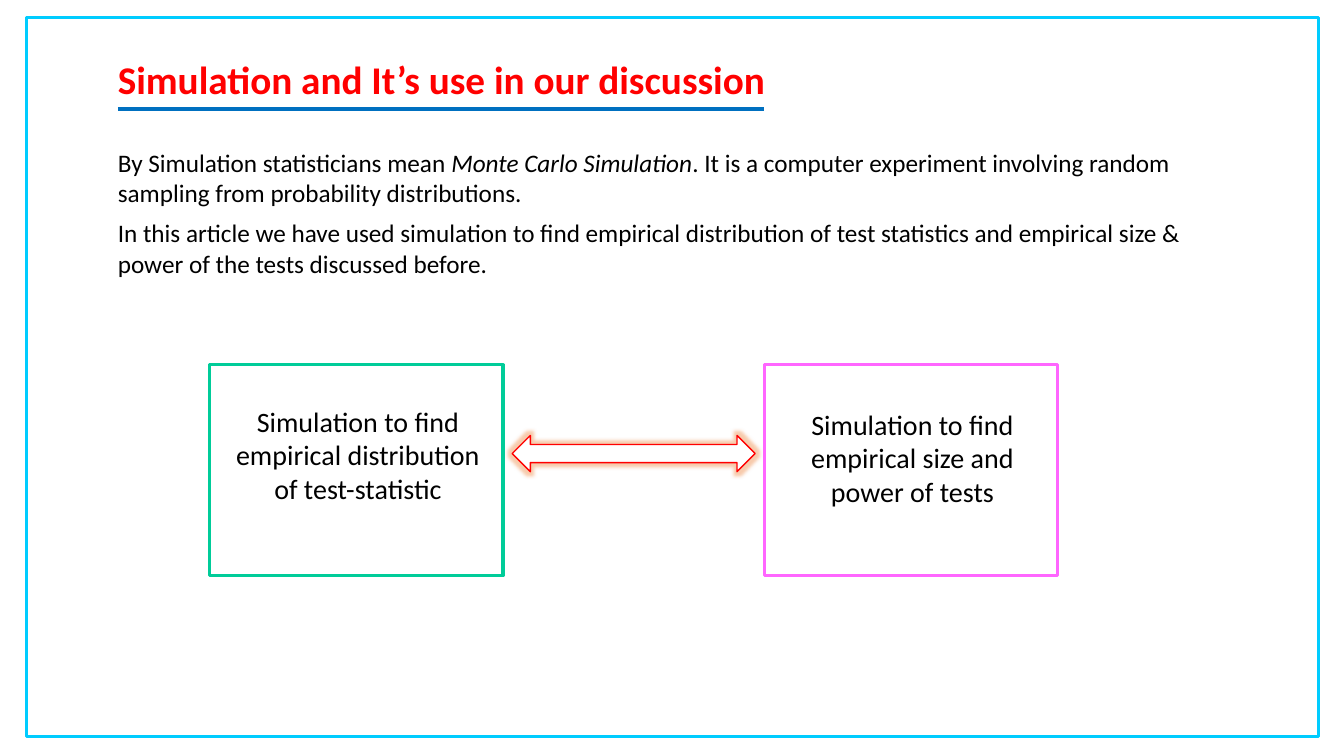
import pptx
import pptx.util
from lxml import etree
from pptx.dml.color import RGBColor
from pptx.enum.shapes import MSO_CONNECTOR, MSO_SHAPE
from pptx.enum.text import PP_ALIGN
from pptx.oxml.ns import qn
from pptx.util import Inches, Pt

FONT = "Calibri"
BLACK = RGBColor(0x00, 0x00, 0x00)
WHITE = RGBColor(0xFF, 0xFF, 0xFF)
RED = RGBColor(0xFF, 0x00, 0x00)
BLUE = RGBColor(0x00, 0x70, 0xC0)
CYAN = RGBColor(0x00, 0xCC, 0xFF)
GREEN = RGBColor(0x00, 0xCC, 0x99)
PINK = RGBColor(0xFF, 0x66, 0xFF)
GLOW = RGBColor(0xED, 0x7D, 0x31)

TITLE = "Simulation and It’s use in our discussion"
# Top, width, and runs as (text, italic)
PARAGRAPHS = [
    (1.41, 10.98, [
        ("By Simulation statisticians mean ", False),
        ("Monte Carlo Simulation", True),
        (". It is a computer experiment involving random sampling "
         "from probability distributions.", False),
    ]),
    (2.11, 10.79, [
        ("In this article we have used simulation to find empirical distribution "
         "of test statistics and empirical size & power of the tests discussed before.",
         False),
    ]),
]
# Box left, line colour, label top, label
USES = [
    (2.08, GREEN, 3.96, "Simulation to find empirical distribution of test-statistic"),
    (7.58, PINK, 3.99, "Simulation to find empirical size and power of tests"),
]
TEXT_LEFT = 1.07
BOX_TOP, BOX_WIDTH, BOX_HEIGHT = 3.62, 2.91, 2.09
LABEL_INSET, LABEL_WIDTH = 0.1, 2.74
ARROW_GAP, ARROW_TOP, ARROW_HEIGHT = 0.09, 4.32, 0.36

prs = pptx.Presentation()
prs.slide_width, prs.slide_height = Inches(13.33), Inches(7.5)
slide = prs.slides.add_slide(prs.slide_layouts[6])


def add_outline(preset, left, top, width, height, color, weight):
    outline = slide.shapes.add_shape(
        preset, Inches(left), Inches(top), Inches(width), Inches(height))
    outline.shadow.inherit = False
    outline.fill.background()
    outline.line.color.rgb = color
    outline.line.width = Pt(weight)
    return outline


def add_text(left, top, width, height, runs, size, color=BLACK, bold=False,
             align=PP_ALIGN.LEFT):
    frame = slide.shapes.add_textbox(
        Inches(left), Inches(top), Inches(width), Inches(height)).text_frame
    frame.word_wrap = True
    paragraph = frame.paragraphs[0]
    paragraph.alignment = align
    for text, italic in runs:
        run = paragraph.add_run()
        run.text = text
        run.font.name = FONT
        run.font.size = Pt(size)
        run.font.bold = bold
        run.font.italic = italic
        run.font.color.rgb = color


def add_glow(shape, color, radius):
    effects = shape.element.spPr.find(qn("a:effectLst"))
    glow = etree.SubElement(effects, qn("a:glow"), rad=str(Pt(radius)))
    tint = etree.SubElement(glow, qn("a:srgbClr"), val=str(color))
    etree.SubElement(tint, qn("a:alpha"), val="40000")


add_outline(MSO_SHAPE.RECTANGLE, 0.26, 0.17, 12.82, 7.14, CYAN, 2.25)

add_text(TEXT_LEFT, 0.5, 6.97, 0.57, [(TITLE, False)], 28, RED, bold=True)
underline = slide.shapes.add_connector(
    MSO_CONNECTOR.STRAIGHT, Inches(1.17), Inches(1.08), Inches(7.58), Inches(1.08))
underline.line.color.rgb = BLUE
underline.line.width = Pt(3)
etree.SubElement(underline.element.spPr, qn("a:effectLst"))

for top, width, runs in PARAGRAPHS:
    add_text(TEXT_LEFT, top, width, 0.71, runs, 18)

for left, color, label_top, label in USES:
    add_outline(MSO_SHAPE.RECTANGLE, left, BOX_TOP, BOX_WIDTH, BOX_HEIGHT, color, 2.25)
    add_text(left + LABEL_INSET, label_top, LABEL_WIDTH, 1.11, [(label, False)], 20,
             align=PP_ALIGN.CENTER)

arrow_left = USES[0][0] + BOX_WIDTH + ARROW_GAP
arrow_width = USES[1][0] - ARROW_GAP - arrow_left
arrow = add_outline(MSO_SHAPE.LEFT_RIGHT_ARROW, arrow_left, ARROW_TOP,
                    arrow_width, ARROW_HEIGHT, RED, 1)
arrow.fill.solid()
arrow.fill.fore_color.rgb = WHITE
add_glow(arrow, GLOW, 5)

prs.save("out.pptx")
